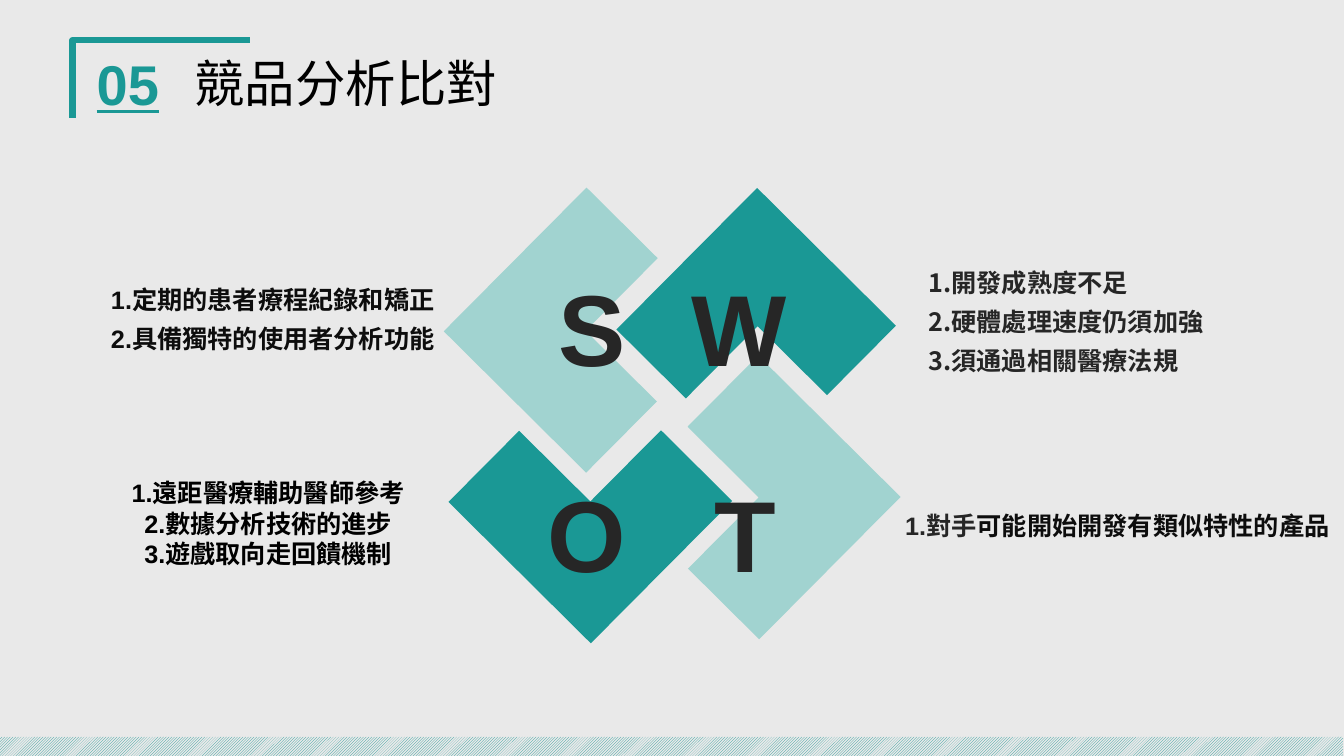
from dataclasses import dataclass

from pptx import Presentation
from pptx.dml.color import RGBColor
from pptx.enum.dml import MSO_PATTERN
from pptx.enum.shapes import MSO_SHAPE
from pptx.enum.text import MSO_ANCHOR, PP_ALIGN
from pptx.util import Inches, Pt


@dataclass(frozen=True)
class Theme:
    teal: str = "1A9895"
    pale: str = "A1D3D0"
    background: str = "E9E9E9"
    dark: str = "262626"
    ink: str = "0D0D0D"
    black: str = "000000"
    latin: str = "Arial"
    chinese: str = "Noto Sans CJK SC"
    number_size: int = 40
    title_size: int = 36
    letter_size: int = 72
    body_size: int = 18


THEME = Theme()
LEFT, CENTER = PP_ALIGN.LEFT, PP_ALIGN.CENTER

TITLE = ("競品分析比對", (1.83, 0.46, 6.11, 0.71))
NUMBER = ("05", (0.86, 0.44, 0.95, 0.77))
BRACKET = [(0.72, 1.17), (0.72, 0.4), (2.48, 0.4)]
FOOTER = (-0.03, 7.31, 13.35, 0.22)

CORNERS = [
    ((4.82, 2.27, 1.99, 2.01), THEME.pale),
    ((6.51, 2.28, 1.98, 1.94), THEME.teal),
    ((6.53, 3.94, 1.99, 1.99), THEME.pale),
    ((4.86, 3.98, 1.99, 1.99), THEME.teal),
]
FIRST_ANGLE = 44.8

LETTERS = [
    ("S", (5.44, 2.59, 0.81, 1.31)),
    ("O", (5.33, 4.63, 1.03, 1.31)),
    ("T", (6.99, 4.63, 0.83, 1.31)),
    ("W", (6.76, 2.59, 1.29, 1.31)),
]

THREATS = (8.88, 5.01, 4.44, 0.4)
THREAT_RUNS = [
    ("1.", THEME.latin, THEME.dark),
    ("對手", THEME.chinese, THEME.dark),
    ("可能開始開發有類似特性的產品", THEME.latin, THEME.ink),
]
NOTES = [
    (["1.開發成熟度不足", "2.硬體處理速度仍須加強", "3.須通過相關醫療法規"],
     (9.11, 2.51, 3.22, 1.24), THEME.chinese, THEME.dark, LEFT, 1.3),
    (["1.定期的患者療程紀錄和矯正\v2.具備獨特的使用者分析功能"],
     (0.96, 2.68, 3.49, 0.86), THEME.latin, THEME.ink, CENTER, 1.3),
    (["1.遠距醫療輔助醫師參考", "2.數據分析技術的進步", "3.遊戲取向走回饋機制"],
     (1.2, 4.69, 2.92, 1.01), THEME.latin, THEME.black, CENTER, 1.0),
]


def color(value):
    return RGBColor.from_string(value)


def inches(box):
    return [Inches(value) for value in box]


def style(font, size, value, name=THEME.latin, bold=True):
    font.size, font.name, font.bold = Pt(size), name, bold
    font.color.rgb = color(value)


def add_text(slide, box, lines, size, value, name=THEME.latin,
             align=LEFT, spacing=1.0, wrap=True):
    frame = slide.shapes.add_textbox(*inches(box)).text_frame
    frame.word_wrap = wrap
    for index, line in enumerate(lines):
        paragraph = frame.add_paragraph() if index else frame.paragraphs[0]
        paragraph.text = line
        paragraph.alignment, paragraph.line_spacing = align, spacing
        style(paragraph.font, size, value, name)
    return frame


def add_heading(slide):
    builder = slide.shapes.build_freeform(*inches(BRACKET[0]), scale=1.0)
    builder.add_line_segments([inches(point) for point in BRACKET[1:]], close=False)
    bracket = builder.convert_to_shape()
    bracket.shadow.inherit = False
    bracket.fill.background()
    bracket.line.color.rgb = color(THEME.teal)
    bracket.line.width = Pt(4.5)

    text, box = NUMBER
    number = add_text(slide, box, [text], THEME.number_size, THEME.teal)
    number.paragraphs[0].font.underline = True

    text, box = TITLE
    title = slide.shapes.title
    title.left, title.top, title.width, title.height = inches(box)
    title.text_frame.text = text
    title.text_frame.vertical_anchor = MSO_ANCHOR.MIDDLE
    paragraph = title.text_frame.paragraphs[0]
    paragraph.alignment = LEFT
    style(paragraph.font, THEME.title_size, THEME.black, bold=False)


def add_footer(slide):
    footer = slide.shapes.add_shape(MSO_SHAPE.RECTANGLE, *inches(FOOTER))
    footer.shadow.inherit = False
    footer.line.fill.background()
    footer.fill.patterned()
    footer.fill.pattern = MSO_PATTERN.LIGHT_UPWARD_DIAGONAL
    footer.fill.fore_color.rgb = color(THEME.teal)
    footer.fill.back_color.rgb = color(THEME.background)


def add_swot(slide):
    for index, (box, value) in enumerate(CORNERS):
        corner = slide.shapes.add_shape(MSO_SHAPE.CORNER, *inches(box))
        corner.rotation = FIRST_ANGLE + 90 * index
        corner.shadow.inherit = False
        corner.fill.solid()
        corner.fill.fore_color.rgb = color(value)
        corner.line.fill.background()
    for letter, box in LETTERS:
        add_text(slide, box, [letter], THEME.letter_size, THEME.dark, wrap=False)


def add_notes(slide):
    for lines, box, name, value, align, spacing in NOTES:
        add_text(slide, box, lines, THEME.body_size, value, name, align, spacing)
    frame = slide.shapes.add_textbox(*inches(THREATS)).text_frame
    frame.word_wrap = True
    for text, name, value in THREAT_RUNS:
        run = frame.paragraphs[0].add_run()
        run.text = text
        style(run.font, THEME.body_size, value, name)


def main():
    presentation = Presentation()
    presentation.slide_width, presentation.slide_height = Inches(13.33), Inches(7.5)
    slide = presentation.slides.add_slide(presentation.slide_layouts[5])
    slide.background.fill.solid()
    slide.background.fill.fore_color.rgb = color(THEME.background)
    add_heading(slide)
    add_footer(slide)
    add_swot(slide)
    add_notes(slide)
    presentation.save("out.pptx")


if __name__ == "__main__":
    main()
